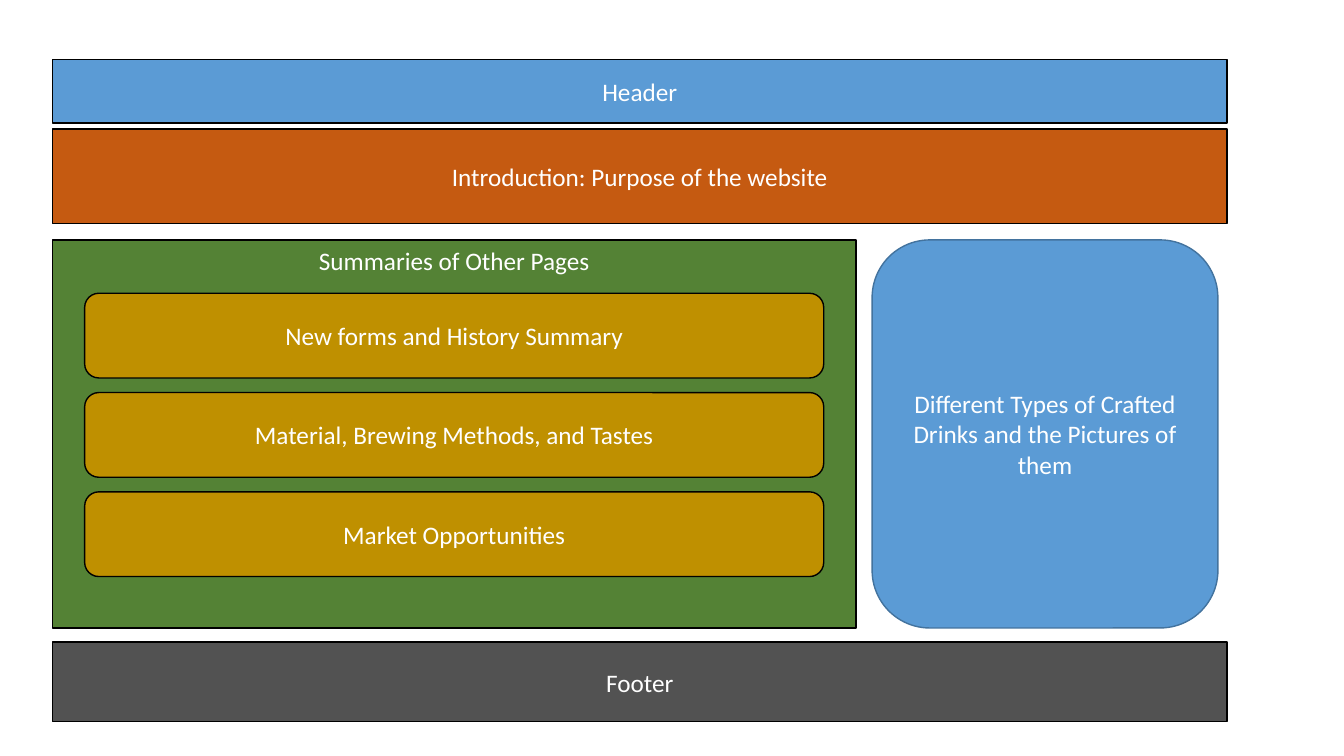
import dataclasses

import pptx
import pptx.dml.color
import pptx.enum.shapes
import pptx.enum.text
import pptx.slide
import pptx.util

Inches = pptx.util.Inches
Shape = pptx.enum.shapes.MSO_SHAPE
Anchor = pptx.enum.text.MSO_ANCHOR

COLORS = {
    "blue": "5B9BD5",
    "navy": "43739E",
    "orange": "C55A11",
    "green": "548235",
    "gold": "BF9000",
    "gray": "525252",
    "black": "000000",
    "white": "FFFFFF",
}

LEFT = 0.52
WIDTH = 11.65
BODY_TOP = 2.38
BODY_HEIGHT = 3.85


@dataclasses.dataclass
class Block:
    text: str
    left: float
    top: float
    width: float
    height: float
    fill: str
    line: str = "black"
    kind: Shape = Shape.RECTANGLE
    anchor: Anchor = Anchor.MIDDLE


def color(name: str) -> pptx.dml.color.RGBColor:
    return pptx.dml.color.RGBColor.from_string(COLORS[name])


def draw_block(slide: pptx.slide.Slide, block: Block) -> None:
    shape = slide.shapes.add_shape(
        block.kind, Inches(block.left), Inches(block.top),
        Inches(block.width), Inches(block.height))
    shape.shadow.inherit = False
    shape.fill.solid()
    shape.fill.fore_color.rgb = color(block.fill)
    shape.line.color.rgb = color(block.line)
    shape.line.width = pptx.util.Pt(1)

    frame = shape.text_frame
    frame.text = block.text
    frame.word_wrap = True
    frame.vertical_anchor = block.anchor
    para = frame.paragraphs[0]
    para.alignment = pptx.enum.text.PP_ALIGN.CENTER
    font = para.runs[0].font
    font.name = "Calibri"
    font.size = pptx.util.Pt(18)
    font.color.rgb = color("white")


def main() -> None:
    deck = pptx.Presentation()
    deck.slide_width = Inches(13.33)
    deck.slide_height = Inches(7.5)
    slide = deck.slides.add_slide(deck.slide_layouts[6])

    # Full-width bands and the summary panel
    blocks = [
        Block("Header", LEFT, 0.59, WIDTH, 0.63, "blue"),
        Block("Introduction: Purpose of the website",
              LEFT, 1.28, WIDTH, 0.94, "orange"),
        Block("Footer", LEFT, 6.37, WIDTH, 0.79, "gray"),
        Block("Summaries of Other Pages", LEFT, BODY_TOP, 7.97, BODY_HEIGHT,
              "green", anchor=Anchor.TOP),
    ]

    # Summary cards, evenly spaced inside the panel
    topics = [
        "New forms and History Summary",
        "Material, Brewing Methods, and Tastes",
        "Market Opportunities",
    ]
    for row, topic in enumerate(topics):
        blocks.append(Block(topic, 0.84, 2.91 + row * 0.985, 7.33, 0.84,
                            "gold", kind=Shape.ROUNDED_RECTANGLE))

    # Side panel
    blocks.append(Block(
        "Different Types of Crafted Drinks and the Pictures of them",
        8.65, BODY_TOP, 3.43, BODY_HEIGHT, "blue", "navy",
        Shape.ROUNDED_RECTANGLE))

    for block in blocks:
        draw_block(slide, block)
    deck.save("out.pptx")


if __name__ == "__main__":
    main()
